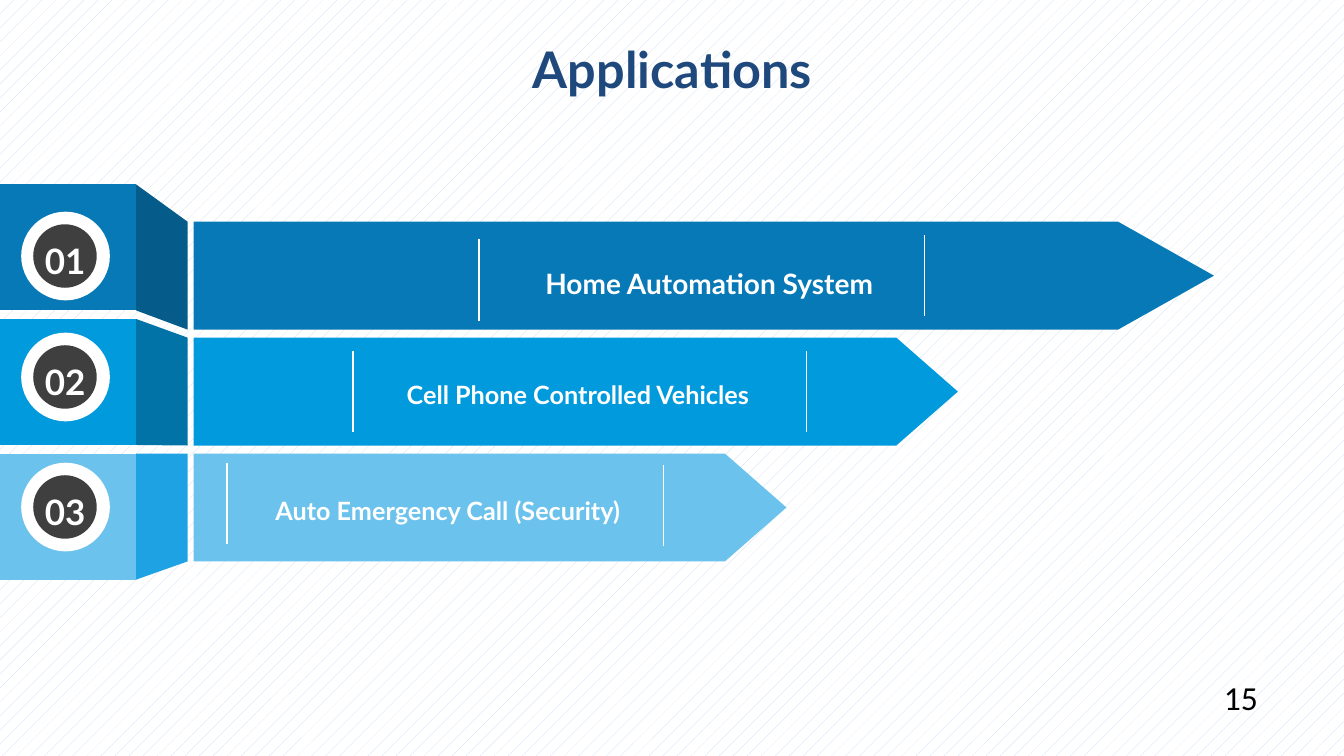
from lxml import etree
from pptx import Presentation, util as u
from pptx.dml.color import RGBColor
from pptx.enum import dml, shapes, text
from pptx.oxml.ns import qn

TITLE = "Applications"
PAGE = "15"
WHITE, DARK, NAVY = "FFFFFF", "3F3F3F", "1F497D"
ROWS = [
    dict(label="Home Automation System", size=20, box=(5.32, 2.47, 3.34, 0.47),
         face="0779B7", side="055B89", shoulder=11.09, tip=12.04,
         badge=2.10, right=(9.17, 2.33)),
    dict(label="Cell Phone Controlled Vehicles", size=18, box=(3.92, 3.56, 3.51, 0.46),
         face="019ADD", side="0173A6", shoulder=8.89, tip=9.50,
         badge=3.30, right=(8.00, 3.48)),
    dict(label="Auto Emergency Call (Security)", size=18, box=(2.58, 4.72, 3.57, 0.46),
         face="6BC2ED", side="1EA2E4", shoulder=7.19, tip=7.80,
         badge=4.59, right=(6.58, 4.61)),
]
BLOCK_TOP, BLOCK_STEP, BLOCK_W, BLOCK_H = 1.83, 1.335, 1.35, 1.25
ARROW_TOP, ARROW_STEP, ARROW_X, ARROW_H = 2.20, 1.15, 1.92, 1.07
FOLD_X = 1.86
DIVIDER_X, DIVIDER_Y, DIVIDER_H = 4.75, 2.37, 0.81
RING, DISC = 0.88, 0.63

prs = Presentation()
prs.slide_width, prs.slide_height = u.Inches(13.33), u.Inches(7.5)
s = prs.slides.add_slide(prs.slide_layouts[5])


def rgb(c):
    return RGBColor.from_string(c)


def paint(sp, color):
    sp.shadow.inherit = False
    sp.fill.solid()
    sp.fill.fore_color.rgb = rgb(color)
    sp.line.fill.background()


def polygon(points, color):
    (x, y), *rest = [(u.Inches(px), u.Inches(py)) for px, py in points]
    fb = s.shapes.build_freeform(x, y)
    fb.add_line_segments(rest, close=True)
    paint(fb.convert_to_shape(), color)


def circle(x, y, d, color):
    paint(s.shapes.add_shape(shapes.MSO_SHAPE.OVAL, *map(u.Inches, (x, y, d, d))), color)


def divider(x, y):
    ln = s.shapes.add_connector(shapes.MSO_CONNECTOR.STRAIGHT,
                                *map(u.Inches, (x, y, x, y + DIVIDER_H)))
    ln.line.color.rgb = rgb(WHITE)
    ln.line.width = u.Pt(1)
    etree.SubElement(ln._element.spPr, qn("a:effectLst"))


def write(words, box, sp=None, size=18, color=WHITE, font="Lato", bold=True,
          align="CENTER", anchor="MIDDLE", inset=(0, 0), spacing=None, wrap=False):
    sp = sp or s.shapes.add_textbox(0, 0, 0, 0)
    sp.left, sp.top, sp.width, sp.height = map(u.Inches, box)
    tf = sp.text_frame
    tf.word_wrap = wrap
    tf.auto_size = text.MSO_AUTO_SIZE.NONE if wrap else text.MSO_AUTO_SIZE.SHAPE_TO_FIT_TEXT
    tf.vertical_anchor = text.MSO_ANCHOR[anchor]
    tf.margin_left = tf.margin_right = u.Inches(inset[0])
    tf.margin_top = tf.margin_bottom = u.Inches(inset[1])
    p = tf.paragraphs[0]
    p.alignment = text.PP_ALIGN[align]
    if spacing:
        p.line_spacing = u.Pt(spacing)
    r = p.add_run()
    r.text = words
    r.font.size, r.font.name, r.font.bold = u.Pt(size), font, bold
    r.font.color.rgb = rgb(color)


bg = s.background.fill
bg.patterned()
bg.pattern = dml.MSO_PATTERN.PERCENT_5
bg.fore_color.rgb, bg.back_color.rgb = rgb("C6D9F1"), rgb(WHITE)

write(TITLE, (5.14, 0.36, 3.06, 0.66), sp=s.shapes.title, size=36, color=NAVY,
      anchor="TOP", inset=(0.05, 0.02))

for i, row in enumerate(ROWS):
    top = BLOCK_TOP + i * BLOCK_STEP
    bottom = top + BLOCK_H
    a_top = ARROW_TOP + i * ARROW_STEP
    a_bottom = a_top + ARROW_H
    polygon([(0, top), (BLOCK_W, top), (BLOCK_W, bottom), (0, bottom)], row["face"])
    polygon([(BLOCK_W, top), (FOLD_X, a_top), (FOLD_X, a_bottom), (BLOCK_W, bottom)],
            row["side"])
    polygon([(ARROW_X, a_top), (row["shoulder"], a_top),
             (row["tip"], (a_top + a_bottom) / 2),
             (row["shoulder"], a_bottom), (ARROW_X, a_bottom)], row["face"])
    divider(DIVIDER_X - 1.25 * i, DIVIDER_Y + 1.11 * i)
    divider(*row["right"])
    write(row["label"], row["box"], size=row["size"], align="RIGHT", spacing=38.7)
    circle(0.21, row["badge"], RING, WHITE)
    circle(0.33, row["badge"] + (RING - DISC) / 2, DISC, DARK)
    write(f"{i + 1:02}", (0.44, row["badge"] + 0.18, 0.41, 0.48), size=25, spacing=38.7)

write(PAGE, (12.04, 6.67, 0.8, 0.57), size=24, color="000000", font="Calibri", bold=False,
      align="LEFT", anchor="TOP", inset=(0.1, 0.05), wrap=True)

prs.save("out.pptx")
